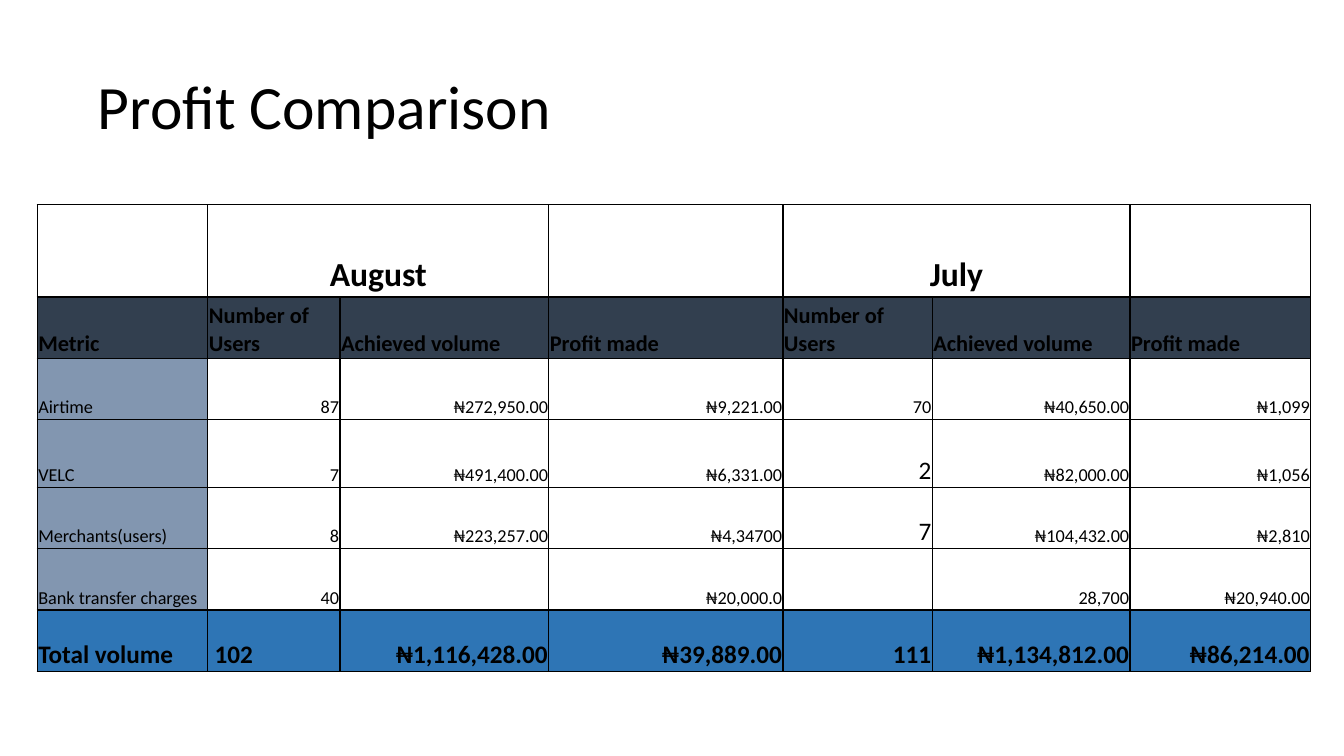
from pptx import Presentation
from pptx.util import Inches, Pt
from pptx.dml.color import RGBColor
from pptx.enum.text import MSO_ANCHOR, PP_ALIGN
from lxml.etree import SubElement
from pptx.oxml.ns import qn

COLORS = {"ink": "000000", "head": "323F4F", "side": "8296B0", "total": "2E75B5"}
FONT = "Calibri"
WIDTHS = [1.69, 1.31, 2.07, 2.32, 1.48, 1.96, 1.79]
HEIGHTS = [0.92, 0.61, 0.61, 0.68, 0.61, 0.61, 0.61]
GROUP = ["Number of Users", "Achieved volume", "Profit made"]
ROWS = [
    ["", "August", "", "", "July", "", ""],
    ["Metric"] + GROUP * 2,
    ["Airtime", "87", "₦272,950.00", "₦9,221.00", "70", "₦40,650.00", "₦1,099"],
    ["VELC", "7", "₦491,400.00", "₦6,331.00", "2", "₦82,000.00", "₦1,056"],
    ["Merchants(users)", "8", "₦223,257.00", "₦4,34700", "7", "₦104,432.00", "₦2,810"],
    ["Bank transfer charges", "40", "", "₦20,000.0", "", "28,700", "₦20,940.00"],
    ["Total volume", " 102", "₦1,116,428.00", "₦39,889.00", " 111",
     "₦1,134,812.00", "₦86,214.00"],
]
LAST = len(ROWS) - 1
MONTHS = (1, 4)
LARGE = {(3, 4), (4, 4)}
LEFT = {(LAST, 1)}


def color(name):
    return RGBColor.from_string(COLORS[name])


def style(para, size, bold=False):
    for run in para.runs:
        run.font.name = FONT
        run.font.size = Pt(size)
        run.font.bold = bold
        run.font.color.rgb = color("ink")


def border(cell):
    props = cell._tc.get_or_add_tcPr()
    for side in ("lnL", "lnR", "lnT", "lnB"):
        line = SubElement(props, qn(f"a:{side}"), w=str(Pt(1)))
        fill = SubElement(line, qn("a:solidFill"))
        SubElement(fill, qn("a:srgbClr"), val=COLORS["ink"])


def look(row, col):
    if row == 0:
        return 24, True, PP_ALIGN.CENTER, None
    if row == 1:
        return 16, True, PP_ALIGN.LEFT, "head"
    left = col == 0 or (row, col) in LEFT
    align = PP_ALIGN.LEFT if left else PP_ALIGN.RIGHT
    if row == LAST:
        return 18, True, align, "total"
    size = 18 if (row, col) in LARGE else 13
    return size, False, align, "side" if col == 0 else None


def fill_cell(cell, text, row, col):
    size, bold, align, shade = look(row, col)
    cell.margin_left = cell.margin_right = Inches(0.01)
    cell.margin_top = cell.margin_bottom = Inches(0.01)
    cell.vertical_anchor = MSO_ANCHOR.BOTTOM
    border(cell)
    if shade:
        cell.fill.solid()
        cell.fill.fore_color.rgb = color(shade)
    else:
        cell.fill.background()
    if text:
        para = cell.text_frame.paragraphs[0]
        para.text = text
        para.alignment = align
        style(para, size, bold)


def add_title(slide, left, top, width, height):
    box = slide.shapes.add_textbox(Inches(left), Inches(top), Inches(width), Inches(height))
    frame = box.text_frame
    frame.word_wrap = True
    frame.vertical_anchor = MSO_ANCHOR.MIDDLE
    frame.margin_left = frame.margin_right = Inches(0.05)
    frame.margin_top = frame.margin_bottom = Inches(0.05)
    frame.text = "Profit Comparison"
    para = frame.paragraphs[0]
    para.line_spacing = 0.9
    style(para, 44)


def add_grid(slide, left, top, width, height):
    table = slide.shapes.add_table(len(ROWS), len(WIDTHS), Inches(left), Inches(top),
                                   Inches(width), Inches(height)).table
    table.first_row = table.horz_banding = False
    for col, part in zip(table.columns, WIDTHS):
        col.width = Inches(width * part / sum(WIDTHS))
    for row, part in zip(table.rows, HEIGHTS):
        row.height = Inches(height * part / sum(HEIGHTS))
    for r, texts in enumerate(ROWS):
        for c, text in enumerate(texts):
            fill_cell(table.cell(r, c), text, r, c)
    for c in MONTHS:
        table.cell(0, c).merge(table.cell(0, c + 1))


def main():
    deck = Presentation()
    deck.slide_width = Inches(13.33)
    deck.slide_height = Inches(7.5)
    slide = deck.slides.add_slide(deck.slide_layouts[6])
    add_title(slide, 0.92, 0.36, 11.5, 1.45)
    add_grid(slide, 0.37, 2.03, 12.63, 4.63)
    deck.save("out.pptx")


if __name__ == "__main__":
    main()
